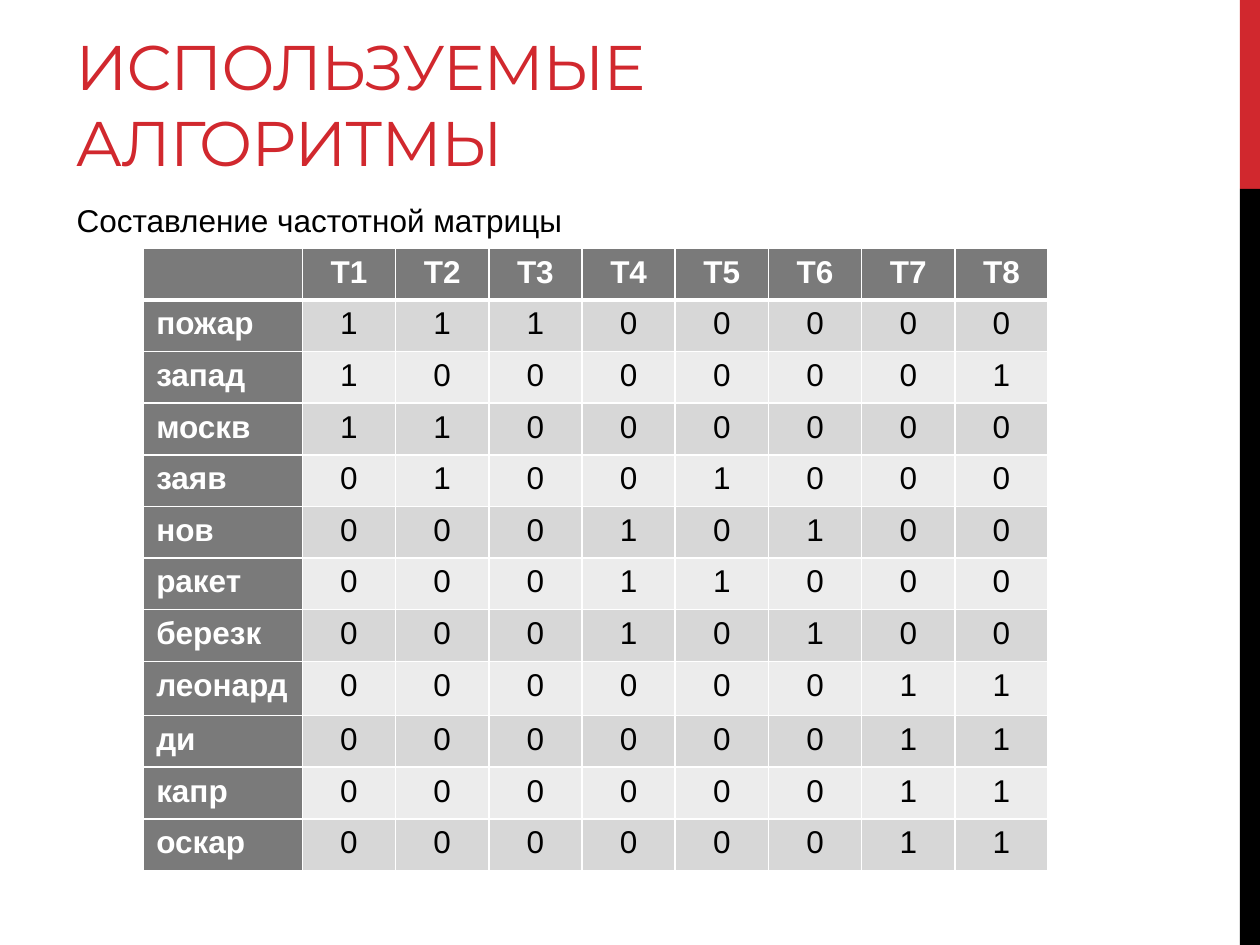
from dataclasses import dataclass

from lxml.etree import SubElement
from pptx import Presentation
from pptx.dml.color import RGBColor
from pptx.enum.shapes import MSO_SHAPE
from pptx.enum.text import MSO_ANCHOR, MSO_AUTO_SIZE, PP_ALIGN
from pptx.oxml.ns import qn
from pptx.util import Inches, Pt


@dataclass(frozen=True)
class Theme:
    accent: str = "D1282E"
    dark: str = "000000"
    light: str = "FFFFFF"
    heading_fill: str = "7A7A7A"
    bands: tuple = ("D7D7D7", "ECECEC")
    title_font: str = "Montserrat"
    body_font: str = "Arial"
    title_size: int = 36
    body_size: int = 18
    title_tracking: float = -0.6
    grid_width: int = 1
    header_rule_width: int = 3


DOCUMENTS = [f"Т{number}" for number in range(1, 9)]
TERM_FREQUENCIES = {
    "пожар": "11100000",
    "запад": "10000001",
    "москв": "11000000",
    "заяв": "01001000",
    "нов": "00010100",
    "ракет": "00011000",
    "березк": "00010100",
    "леонард": "00000011",
    "ди": "00000011",
    "капр": "00000011",
    "оскар": "00000011",
}


class SlideBuilder:
    def __init__(self, page, theme):
        self.page = page
        self.theme = theme

    def add_span(self, para, text, font, size, color, bold=False):
        span = para.add_run()
        span.text = text
        span.font.name = font
        span.font.size = Pt(size)
        span.font.bold = bold
        span.font.color.rgb = RGBColor.from_string(color)
        return span

    def add_bar(self, left, top, width, height, color):
        bar = self.page.shapes.add_shape(
            MSO_SHAPE.RECTANGLE, Inches(left), Inches(top), Inches(width), Inches(height)
        )
        bar.shadow.inherit = False
        bar.fill.solid()
        bar.fill.fore_color.rgb = RGBColor.from_string(color)
        bar.line.fill.background()

    def add_title(self, text, left, top, width, height):
        title = self.page.shapes.title
        title.left, title.top = Inches(left), Inches(top)
        title.width, title.height = Inches(width), Inches(height)
        frame = title.text_frame
        frame.word_wrap = True
        frame.auto_size = MSO_AUTO_SIZE.NONE
        frame.vertical_anchor = MSO_ANCHOR.TOP
        para = frame.paragraphs[0]
        para.alignment = PP_ALIGN.LEFT
        theme = self.theme
        span = self.add_span(para, text, theme.title_font, theme.title_size, theme.accent)
        span.font._element.set("spc", str(round(theme.title_tracking * 100)))

    def add_caption(self, text, left, top, width, height):
        box = self.page.shapes.add_textbox(
            Inches(left), Inches(top), Inches(width), Inches(height)
        )
        frame = box.text_frame
        frame.word_wrap = False
        frame.auto_size = MSO_AUTO_SIZE.SHAPE_TO_FIT_TEXT
        theme = self.theme
        self.add_span(
            frame.paragraphs[0], text, theme.body_font, theme.body_size, theme.dark
        )

    def set_borders(self, cell, top, bottom):
        """Draw the grid around a cell; top and bottom widths are in points."""
        properties = cell._tc.get_or_add_tcPr()
        side = self.theme.grid_width
        widths = {"a:lnL": side, "a:lnR": side, "a:lnT": top, "a:lnB": bottom}
        for position, (tag, width) in enumerate(widths.items()):
            line = SubElement(properties, qn(tag), w=str(Pt(width)))
            fill = SubElement(line, qn("a:solidFill"))
            SubElement(fill, qn("a:srgbClr"), val=self.theme.light)
            properties.insert(position, line)  # borders precede the cell fill

    def fill_cell(self, cell, text, row, column):
        theme = self.theme
        is_heading = row == 0 or column == 0
        color = theme.heading_fill if is_heading else theme.bands[(row - 1) % 2]
        cell.fill.solid()
        cell.fill.fore_color.rgb = RGBColor.from_string(color)
        self.set_borders(
            cell,
            top=theme.header_rule_width if row == 1 else theme.grid_width,
            bottom=theme.header_rule_width if row == 0 else theme.grid_width,
        )
        para = cell.text_frame.paragraphs[0]
        para.alignment = PP_ALIGN.CENTER if column else PP_ALIGN.LEFT
        if text:
            self.add_span(
                para, text, theme.body_font, theme.body_size,
                theme.light if is_heading else theme.dark, bold=is_heading,
            )
        else:
            para.font.size = Pt(theme.body_size)

    def add_matrix(self, rows, left, top, column_widths, row_heights):
        table = self.page.shapes.add_table(
            len(rows), len(column_widths), Inches(left), Inches(top),
            Inches(sum(column_widths)), Inches(sum(row_heights)),
        ).table
        for column, width in zip(table.columns, column_widths):
            column.width = Inches(width)
        for row, height in zip(table.rows, row_heights):
            row.height = Inches(height)
        table.first_col = True
        for row, texts in enumerate(rows):
            for column, text in enumerate(texts):
                self.fill_cell(table.cell(row, column), text, row, column)


def main():
    deck = Presentation()
    deck.slide_width, deck.slide_height = Inches(10), Inches(7.5)
    theme = Theme()
    builder = SlideBuilder(deck.slides.add_slide(deck.slide_layouts[5]), theme)

    builder.add_bar(9.84, 0, 0.16, 1.5, theme.accent)
    builder.add_bar(9.84, 1.5, 0.16, 6, theme.dark)
    builder.add_title("ИСПОЛЬЗУЕМЫЕ АЛГОРИТМЫ", 0.5, 0.17, 6.33, 1.5)
    builder.add_caption("Составление частотной матрицы", 0.51, 1.55, 4.09, 0.4)

    rows = [["", *DOCUMENTS]]
    rows += [[term, *counts] for term, counts in TERM_FREQUENCIES.items()]
    row_heights = [0.43 if row[0] == "леонард" else 0.41 for row in rows]
    builder.add_matrix(rows, 1.14, 1.97, [1.26] + [0.74] * len(DOCUMENTS), row_heights)

    deck.save("out.pptx")


if __name__ == "__main__":
    main()
